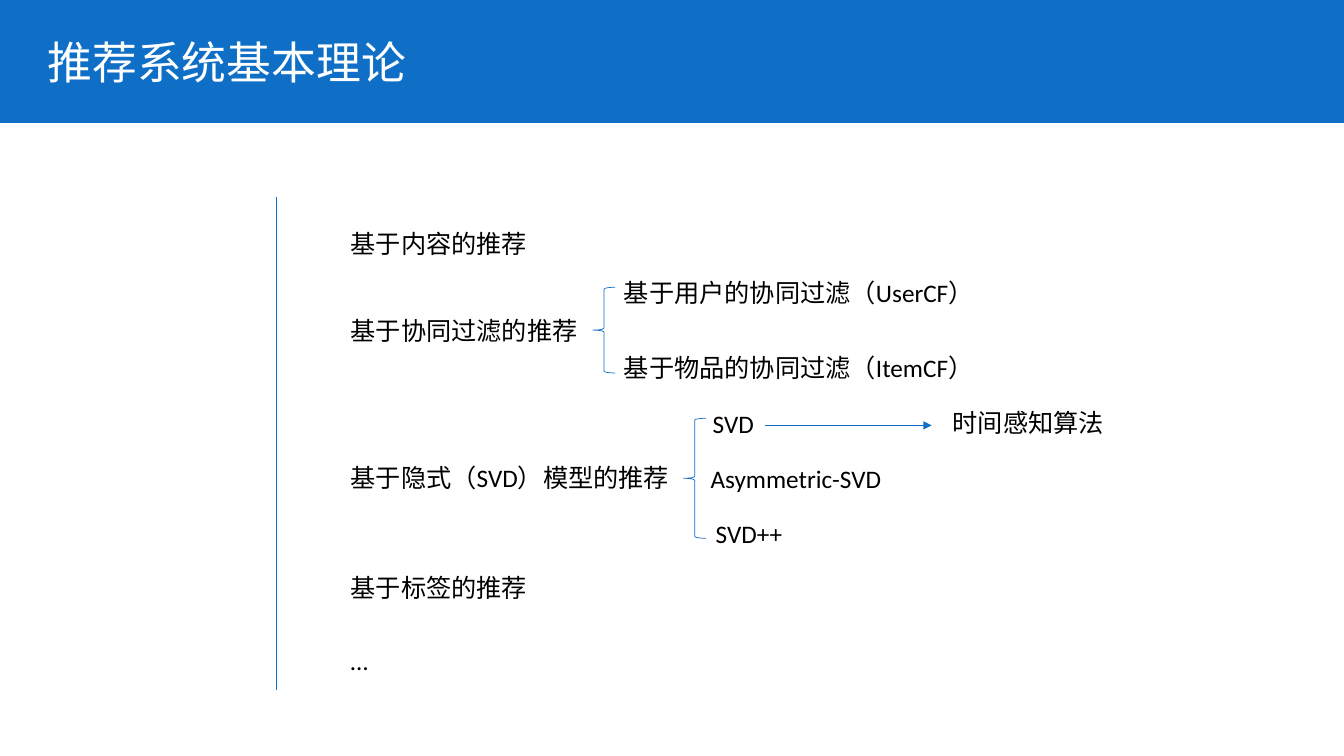
import pptx
import pptx.dml.color
import pptx.enum.shapes
import pptx.enum.text
import pptx.oxml.ns
import pptx.util
from lxml import etree
from pptx.util import Inches

BLUE = pptx.dml.color.RGBColor(0x0F, 0x6F, 0xC6)
BLACK = pptx.dml.color.RGBColor(0x00, 0x00, 0x00)
WHITE = pptx.dml.color.RGBColor(0xFF, 0xFF, 0xFF)
FONT = "Calibri"
LINE_HEIGHT = 0.4


def write_text(shape, text, size=18, color=BLACK):
    frame = shape.text_frame
    frame.word_wrap = True
    frame.auto_size = pptx.enum.text.MSO_AUTO_SIZE.NONE
    frame.vertical_anchor = pptx.enum.text.MSO_ANCHOR.TOP
    paragraph = frame.paragraphs[0]
    paragraph.alignment = pptx.enum.text.PP_ALIGN.LEFT
    run = paragraph.add_run()
    run.text = text
    run.font.name = FONT
    run.font.size = pptx.util.Pt(size)
    run.font.color.rgb = color


def add_label(slide, text, left, top, width):
    box = slide.shapes.add_textbox(Inches(left), Inches(top), Inches(width), Inches(LINE_HEIGHT))
    write_text(box, text)


def add_line(slide, start, end, arrow=False):
    connector = slide.shapes.add_connector(
        pptx.enum.shapes.MSO_CONNECTOR.STRAIGHT, *map(Inches, start + end))
    connector.line.color.rgb = BLUE
    connector.line.width = pptx.util.Pt(0.5)
    if arrow:
        line_xml = connector.line._get_or_add_ln()
        etree.SubElement(line_xml, pptx.oxml.ns.qn("a:tailEnd"), type="triangle")
    etree.SubElement(connector.element.spPr, pptx.oxml.ns.qn("a:effectLst"))


def add_brace(slide, left, top, height):
    brace = slide.shapes.add_shape(
        pptx.enum.shapes.MSO_SHAPE.LEFT_BRACE,
        Inches(left), Inches(top), Inches(0.22), Inches(height))
    brace.shadow.inherit = False
    brace.fill.background()
    brace.line.color.rgb = BLUE
    brace.line.width = pptx.util.Pt(0.5)


def add_title_band(slide, text, width, height):
    band = slide.shapes.add_shape(
        pptx.enum.shapes.MSO_SHAPE.RECTANGLE, 0, 0, Inches(width), Inches(height))
    band.shadow.inherit = False
    band.fill.solid()
    band.fill.fore_color.rgb = BLUE
    band.line.fill.background()

    title = slide.shapes.title
    band.element.addnext(title.element)
    title.left, title.top = Inches(0.37), Inches(0.29)
    title.width, title.height = Inches(3.91), Inches(0.64)
    write_text(title, text, size=32, color=WHITE)


def add_categories(slide, left, top, height):
    """Place the vertical rule and the main categories to its right."""
    add_line(slide, (left, top), (left, top + height))
    for text, offset, width in (
        ("基于内容的推荐", 0.27, 2.61),
        ("基于协同过滤的推荐", 1.13, 2.61),
        ("基于隐式（SVD）模型的推荐", 2.59, 3.58),
        ("基于标签的推荐", 3.68, 2.61),
        ("…", 4.4, 2.61),
    ):
        add_label(slide, text, left + 0.64, top + offset, width)


def add_branch(slide, left, top, height, items):
    """Place a brace and spread its (text, indent) items evenly along it."""
    add_brace(slide, left, top, height)
    pitch = (height - 0.1) / (len(items) - 1)
    for index, (text, indent) in enumerate(items):
        add_label(slide, text, left + indent, top - 0.15 + index * pitch, 3.9)


def add_extension(slide, left, top, text):
    """Place an arrow and the label it leads to."""
    add_line(slide, (left, top), (left + 1.65, top), arrow=True)
    add_label(slide, text, left + 1.76, top - 0.23, 3.9)


def main():
    presentation = pptx.Presentation()
    presentation.slide_width = Inches(13.33)
    presentation.slide_height = Inches(7.5)
    slide = presentation.slides.add_slide(presentation.slide_layouts.get_by_name("Title Only"))

    add_title_band(slide, "推荐系统基本理论", 13.33, 1.22)
    add_categories(slide, 2.74, 1.95, 4.9)
    add_branch(slide, 5.88, 2.85, 0.85, (
        ("基于用户的协同过滤（UserCF）", 0.21),
        ("基于物品的协同过滤（ItemCF）", 0.21),
    ))
    add_branch(slide, 6.78, 4.15, 1.19, (
        ("SVD", 0.19),
        ("Asymmetric-SVD", 0.17),
        ("SVD++", 0.22),
    ))
    add_extension(slide, 7.59, 4.22, "时间感知算法")
    presentation.save("out.pptx")


if __name__ == "__main__":
    main()
